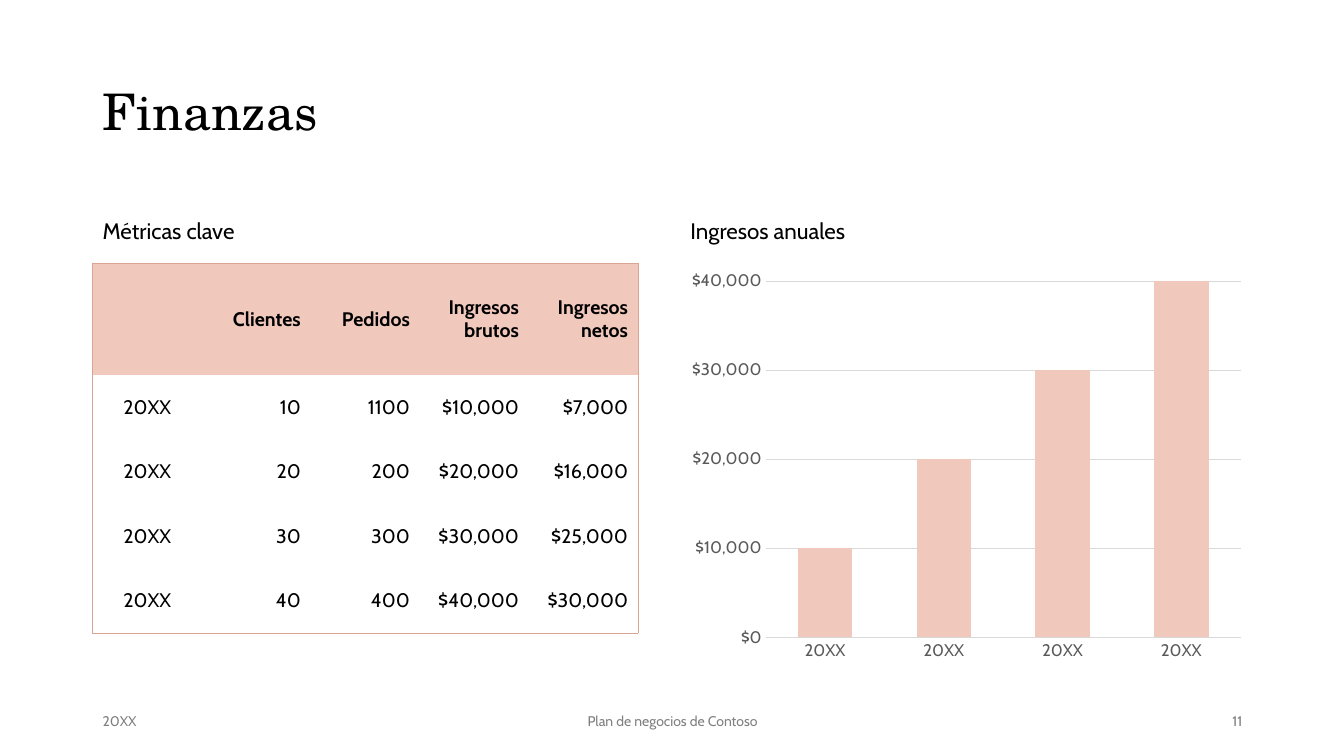
from dataclasses import dataclass

from lxml import etree
from pptx import Presentation
from pptx.chart.data import CategoryChartData
from pptx.dml.color import RGBColor
from pptx.enum.chart import XL_CHART_TYPE, XL_TICK_MARK
from pptx.enum.text import MSO_ANCHOR, MSO_AUTO_SIZE, PP_ALIGN
from pptx.oxml.ns import qn
from pptx.util import Inches, Pt


@dataclass(frozen=True)
class Theme:
    heading_font: str = "TeX Gyre Schola"
    body_font: str = "Cabin"
    text: str = "000000"
    axis_text: str = "595959"
    footer_text: str = "808080"
    grid: str = "D9D9D9"
    accent: str = "F0C8BC"
    border: str = "D9A491"
    title_size: int = 36
    subtitle_size: int = 16
    table_size: int = 14
    axis_size: int = 12
    footer_size: int = 10


THEME = Theme()
LEFT = 0.92
RIGHT_COLUMN = 6.75
CONTENT_TOP = 2.61
FOOTER_TOP = 6.95

METRICS = [
    ["", "Clientes", "Pedidos", "Ingresos brutos", "Ingresos netos"],
    ["20XX", "10", "1100", "$10,000", "$7,000"],
    ["20XX", "20", "200", "$20,000", "$16,000"],
    ["20XX", "30", "300", "$30,000", "$25,000"],
    ["20XX", "40", "400", "$40,000", "$30,000"],
]
ANNUAL_INCOME = [10000, 20000, 30000, 40000]


def set_font(font, size, color=THEME.text, name=THEME.body_font, bold=False):
    font.name = name
    font.size = Pt(size)
    font.bold = bold
    font.color.rgb = RGBColor.from_string(color)


def set_line(line, color):
    line.color.rgb = RGBColor.from_string(color)
    line.width = Pt(0.75)


def add_title(slide, text):
    title = slide.shapes.title
    title.left, title.top = Inches(LEFT), Inches(0.78)
    title.width, title.height = Inches(11.5), Inches(0.7)
    frame = title.text_frame
    frame.text = text
    frame.auto_size = MSO_AUTO_SIZE.NONE
    frame.vertical_anchor = MSO_ANCHOR.MIDDLE
    paragraph = frame.paragraphs[0]
    paragraph.alignment = PP_ALIGN.LEFT
    paragraph.line_spacing = 0.9
    set_font(paragraph.font, THEME.title_size, name=THEME.heading_font)


def add_text(slide, text, left, top, width, height, size,
             color=THEME.text, alignment=PP_ALIGN.LEFT):
    box = slide.shapes.add_textbox(
        Inches(left), Inches(top), Inches(width), Inches(height))
    frame = box.text_frame
    frame.word_wrap = True
    frame.vertical_anchor = MSO_ANCHOR.MIDDLE
    paragraph = frame.paragraphs[0]
    paragraph.text = text
    paragraph.alignment = alignment
    set_font(paragraph.font, size, color)


def set_borders(cell, visible_sides):
    """Draw the sides named by the letters L, R, T, B and hide the others."""
    properties = cell._tc.get_or_add_tcPr()
    for index, side in enumerate("LRTB"):
        line = etree.Element(qn(f"a:ln{side}"), w=str(Pt(0.5)))
        if side in visible_sides:
            fill = etree.SubElement(line, qn("a:solidFill"))
            etree.SubElement(fill, qn("a:srgbClr"), val=THEME.border)
        else:
            etree.SubElement(line, qn("a:noFill"))
        properties.insert(index, line)


def outer_sides(row, column, row_count, column_count):
    edges = {"L": column == 0, "R": column == column_count - 1,
             "T": row == 0, "B": row == row_count - 1}
    return [side for side, is_edge in edges.items() if is_edge]


def format_cell(cell, text, is_header, is_label):
    cell.vertical_anchor = MSO_ANCHOR.MIDDLE
    if is_header:
        cell.fill.solid()
        cell.fill.fore_color.rgb = RGBColor.from_string(THEME.accent)
    else:
        cell.fill.background()
    paragraph = cell.text_frame.paragraphs[0]
    paragraph.text = text
    paragraph.alignment = PP_ALIGN.CENTER if is_label else PP_ALIGN.RIGHT
    set_font(paragraph.font, THEME.table_size, bold=is_header)


def add_metrics_table(slide, rows):
    row_count, column_count = len(rows), len(rows[0])
    table = slide.shapes.add_table(
        row_count, column_count, Inches(LEFT), Inches(CONTENT_TOP),
        Inches(5.41), Inches(3.65)).table
    table.horz_banding = False
    for row, values in enumerate(rows):
        table.rows[row].height = Inches(0.64 if row else 1.11)
        for column, text in enumerate(values):
            cell = table.cell(row, column)
            format_cell(cell, text, is_header=row == 0, is_label=column == 0)
            set_borders(cell, outer_sides(row, column, row_count, column_count))


def format_axis(axis):
    axis.major_tick_mark = XL_TICK_MARK.NONE
    axis.minor_tick_mark = XL_TICK_MARK.NONE
    set_font(axis.tick_labels.font, THEME.axis_size, THEME.axis_text)


def add_income_chart(slide, categories, values):
    data = CategoryChartData()
    data.categories = categories
    data.add_series("Series 1", values)
    chart = slide.shapes.add_chart(
        XL_CHART_TYPE.COLUMN_CLUSTERED, Inches(RIGHT_COLUMN),
        Inches(CONTENT_TOP), Inches(5.67), Inches(4.03), data).chart
    chart.has_legend = False
    chart.has_title = False
    set_font(chart.font, THEME.footer_size)

    plot = chart.plots[0]
    plot.gap_width = 118
    plot.overlap = -3
    plot.vary_by_categories = False
    fill = plot.series[0].format.fill
    fill.solid()
    fill.fore_color.rgb = RGBColor.from_string(THEME.accent)

    format_axis(chart.category_axis)
    set_line(chart.category_axis.format.line, THEME.grid)

    value_axis = chart.value_axis
    format_axis(value_axis)
    value_axis.minimum_scale = 0
    value_axis.maximum_scale = 40000
    value_axis.major_unit = 10000
    value_axis.tick_labels.number_format = "[$$-80A]#,##0"
    value_axis.tick_labels.number_format_is_linked = False
    value_axis.format.line.fill.background()
    set_line(value_axis.major_gridlines.format.line, THEME.grid)


def add_footer(slide):
    parts = [
        ("20XX", LEFT, 3, PP_ALIGN.LEFT),
        ("Plan de negocios de Contoso", 4.42, 4.5, PP_ALIGN.CENTER),
        ("11", 9.42, 3, PP_ALIGN.RIGHT),
    ]
    for text, left, width, alignment in parts:
        add_text(slide, text, left, FOOTER_TOP, width, 0.4,
                 THEME.footer_size, THEME.footer_text, alignment)


def main():
    presentation = Presentation()
    presentation.slide_width = Inches(13.33)
    presentation.slide_height = Inches(7.5)
    slide = presentation.slides.add_slide(presentation.slide_layouts[5])

    add_title(slide, "Finanzas")
    for text, left in [("Métricas clave", LEFT), ("Ingresos anuales", RIGHT_COLUMN)]:
        add_text(slide, text, left, 1.99, 5.64, 0.6, THEME.subtitle_size)
    add_metrics_table(slide, METRICS)
    add_income_chart(slide, [row[0] for row in METRICS[1:]], ANNUAL_INCOME)
    add_footer(slide)
    presentation.save("out.pptx")


if __name__ == "__main__":
    main()
